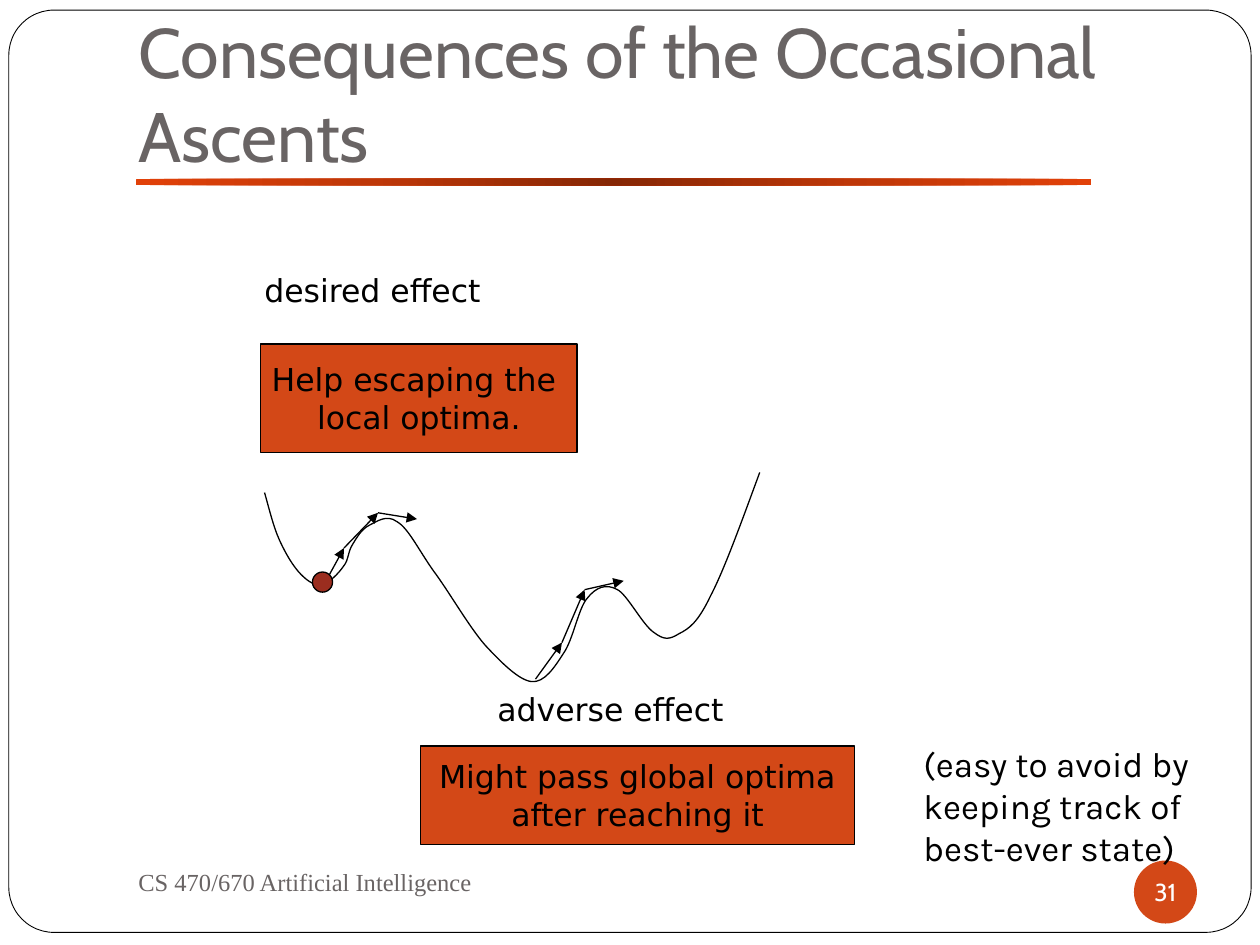
from itertools import pairwise

from lxml import etree
from pptx import Presentation
from pptx.dml.color import RGBColor
from pptx.enum.shapes import MSO_CONNECTOR, MSO_SHAPE
from pptx.enum.text import MSO_ANCHOR, MSO_AUTO_SIZE, PP_ALIGN
from pptx.oxml import parse_xml
from pptx.oxml.ns import nsdecls, qn
from pptx.util import Inches, Pt

LEFT, CENTER = PP_ALIGN.LEFT, PP_ALIGN.CENTER
TOP, MIDDLE, BOTTOM = MSO_ANCHOR.TOP, MSO_ANCHOR.MIDDLE, MSO_ANCHOR.BOTTOM
NO_AUTOFIT = MSO_AUTO_SIZE.NONE
RECT, ROUNDED, OVAL = MSO_SHAPE.RECTANGLE, MSO_SHAPE.ROUNDED_RECTANGLE, MSO_SHAPE.OVAL
STRAIGHT = MSO_CONNECTOR.STRAIGHT
TITLE_ONLY = 5

BLACK, WHITE, GRAY = "000000", "FFFFFF", "696464"
ORANGE, DARK_RED = "D34817", "9B2D1F"
RULE_STOPS = [(0, "852705"), (50, "BE3708"), (100, "E14109")]

# Cost curve: start point, then (control, control, end) per segment, from the box corner
CURVE_START = (0, 0.16)
CURVE_SEGMENTS = [
    ((0.04, 0.30), (0.07, 0.43), (0.12, 0.54)),
    ((0.17, 0.65), (0.23, 0.75), (0.29, 0.81)),
    ((0.35, 0.87), (0.40, 0.90), (0.46, 0.89)),
    ((0.51, 0.88), (0.59, 0.80), (0.63, 0.74)),
    ((0.67, 0.69), (0.66, 0.63), (0.70, 0.57)),
    ((0.73, 0.52), (0.77, 0.45), (0.83, 0.42)),
    ((0.89, 0.39), (0.97, 0.33), (1.05, 0.39)),
    ((1.14, 0.44), (1.22, 0.61), (1.34, 0.78)),
    ((1.46, 0.94), (1.62, 1.22), (1.75, 1.37)),
    ((1.88, 1.51), (2.02, 1.65), (2.12, 1.66)),
    ((2.22, 1.67), (2.30, 1.55), (2.37, 1.44)),
    ((2.45, 1.33), (2.49, 1.08), (2.56, 1.00)),
    ((2.63, 0.91), (2.71, 0.88), (2.80, 0.93)),
    ((2.88, 0.97), (3.00, 1.21), (3.09, 1.27)),
    ((3.17, 1.33), (3.21, 1.33), (3.29, 1.28)),
    ((3.37, 1.24), (3.44, 1.19), (3.54, 0.98)),
    ((3.65, 0.77), (3.79, 0.38), (3.93, 0)),
]
ASCENTS = [
    [(0.46, 0.91), (0.63, 0.60), (0.90, 0.32), (1.21, 0.37)],
    [(2.15, 1.64), (2.36, 1.35), (2.54, 0.93), (2.85, 0.86)],
]


def color(hex_string):
    return RGBColor.from_string(hex_string)


def inches(*lengths):
    return [Inches(length) for length in lengths]


def write(holder, *lines, font="DejaVu Sans", size=18, ink=BLACK, align=LEFT,
          anchor=TOP, wrap=False, margins=(0.1, 0.05, 0.1, 0.05)):
    frame = holder.text_frame
    frame.auto_size = NO_AUTOFIT
    frame.word_wrap = wrap
    frame.vertical_anchor = anchor
    (frame.margin_left, frame.margin_top,
     frame.margin_right, frame.margin_bottom) = inches(*margins)
    for index, line in enumerate(lines):
        paragraph = frame.add_paragraph() if index else frame.paragraphs[0]
        paragraph.alignment = align
        run = paragraph.add_run()
        run.text = line
        run.font.name, run.font.size = font, Pt(size)
        run.font.color.rgb = color(ink)


def outline(shape, width):
    if width:
        shape.line.color.rgb = color(BLACK)
        shape.line.width = Pt(width)
    else:
        shape.line.fill.background()


def add_block(slide, kind, box, fill, line_width=0.75):
    block = slide.shapes.add_shape(kind, *inches(*box))
    block.shadow.inherit = False
    block.fill.solid()
    block.fill.fore_color.rgb = color(fill)
    outline(block, line_width)
    return block


def add_label(slide, box, *lines, **text_format):
    write(slide.shapes.add_textbox(*inches(*box)), *lines, **text_format)


def add_arrow(slide, start, end):
    arrow = slide.shapes.add_connector(STRAIGHT, *inches(*start, *end))
    outline(arrow, 0.75)
    properties = arrow._element.spPr
    etree.SubElement(properties.get_or_add_ln(), qn("a:tailEnd"), type="triangle")
    etree.SubElement(properties, qn("a:effectLst"))


def add_frame(slide, box):
    page = add_block(slide, ROUNDED, box, WHITE, 0.5)
    page.adjustments[0] = 0.049


def add_title_rule(slide, box):
    rule = add_block(slide, ROUNDED, box, RULE_STOPS[0][1], 0)
    stops = "".join(f'<a:gs pos="{pos * 1000}"><a:srgbClr val="{hue}"/></a:gs>'
                    for pos, hue in RULE_STOPS)
    gradient = parse_xml(
        f'<a:gradFill {nsdecls("a")}><a:gsLst>{stops}</a:gsLst><a:path path="circle">'
        '<a:fillToRect l="50000" t="50000" r="50000" b="50000"/></a:path></a:gradFill>')
    properties = rule._element.spPr
    properties.replace(properties.find(qn("a:solidFill")), gradient)


def add_title(slide, box, wording):
    title = slide.shapes.title
    title.left, title.top, title.width, title.height = inches(*box)
    write(title, wording, font="Cabin", size=40, ink=GRAY, anchor=BOTTOM,
          wrap=True, margins=(0.1, 0.05, 0.1, 0.1))
    # Bring the title in front of the page frame
    slide.shapes._spTree.append(title._element)


def add_page_number(slide, box, number):
    badge = add_block(slide, OVAL, box, ORANGE, 0)
    write(badge, number, font="Cabin", size=14, ink=WHITE, align=CENTER,
          anchor=MIDDLE, margins=(0, 0, 0, 0))


def bend(curve, segments):
    """Turn each straight segment of a freeform into a cubic Bézier."""
    straights = list(curve._element.iter(qn("a:lnTo")))
    for straight, segment in zip(straights, segments):
        cubic = etree.Element(qn("a:cubicBezTo"))
        for point in segment:
            x, y = inches(*point)
            etree.SubElement(cubic, qn("a:pt"), x=str(int(x)), y=str(int(y)))
        straight.getparent().replace(straight, cubic)


def add_landscape(slide, left, top):
    def place(point):
        return left + point[0], top + point[1]

    # Cost curve
    builder = slide.shapes.build_freeform(*inches(*place(CURVE_START)))
    builder.add_line_segments([inches(*place(segment[-1])) for segment in CURVE_SEGMENTS],
                              close=False)
    curve = builder.convert_to_shape()
    bend(curve, CURVE_SEGMENTS)
    curve.shadow.inherit = False
    curve.fill.background()
    outline(curve, 0.75)

    # Steps uphill and the current state
    for ascent in ASCENTS:
        for start, end in pairwise(ascent):
            add_arrow(slide, place(start), place(end))
    add_block(slide, OVAL, (*place((0.38, 0.79)), 0.16, 0.16), DARK_RED)


def add_effect(slide, label_box, label, note_box, *note):
    add_label(slide, label_box, label)
    write(add_block(slide, RECT, note_box, ORANGE), *note, align=CENTER, anchor=MIDDLE)


def main():
    deck = Presentation()
    deck.slide_width, deck.slide_height = inches(10, 7.5)
    slide = deck.slides.add_slide(deck.slide_layouts[TITLE_ONLY])

    # Page furniture
    add_frame(slide, (0.07, 0.08, 9.86, 7.32))
    add_title_rule(slide, (1.08, 1.42, 7.58, 0.05))
    add_page_number(slide, (9, 6.83, 0.5, 0.5), "31")
    add_title(slide, (1, 0.25, 8.5, 1.25), "Consequences of the Occasional Ascents")

    # Diagram and its two effects
    add_landscape(slide, 2.1, 3.75)
    add_effect(slide, (2, 2.1, 2.48, 0.5), "desired effect",
               (2.07, 2.73, 2.51, 0.86), "Help escaping the ", "local optima.")
    add_effect(slide, (3.85, 5.43, 2.57, 0.5), "adverse effect",
               (3.34, 5.92, 3.44, 0.78), "Might pass global optima", " after reaching it ")

    # Remark and footer
    add_label(slide, (7.23, 5.84, 2.31, 1.1), "(easy to avoid by", "keeping track of",
              "best-ever state)", font="Karla", size=20)
    add_label(slide, (1, 6.75, 4.33, 0.5), "CS 470/670 Artificial Intelligence",
              font="Times New Roman", size=14, ink=GRAY, anchor=MIDDLE, wrap=True)
    deck.save("out.pptx")


if __name__ == "__main__":
    main()
